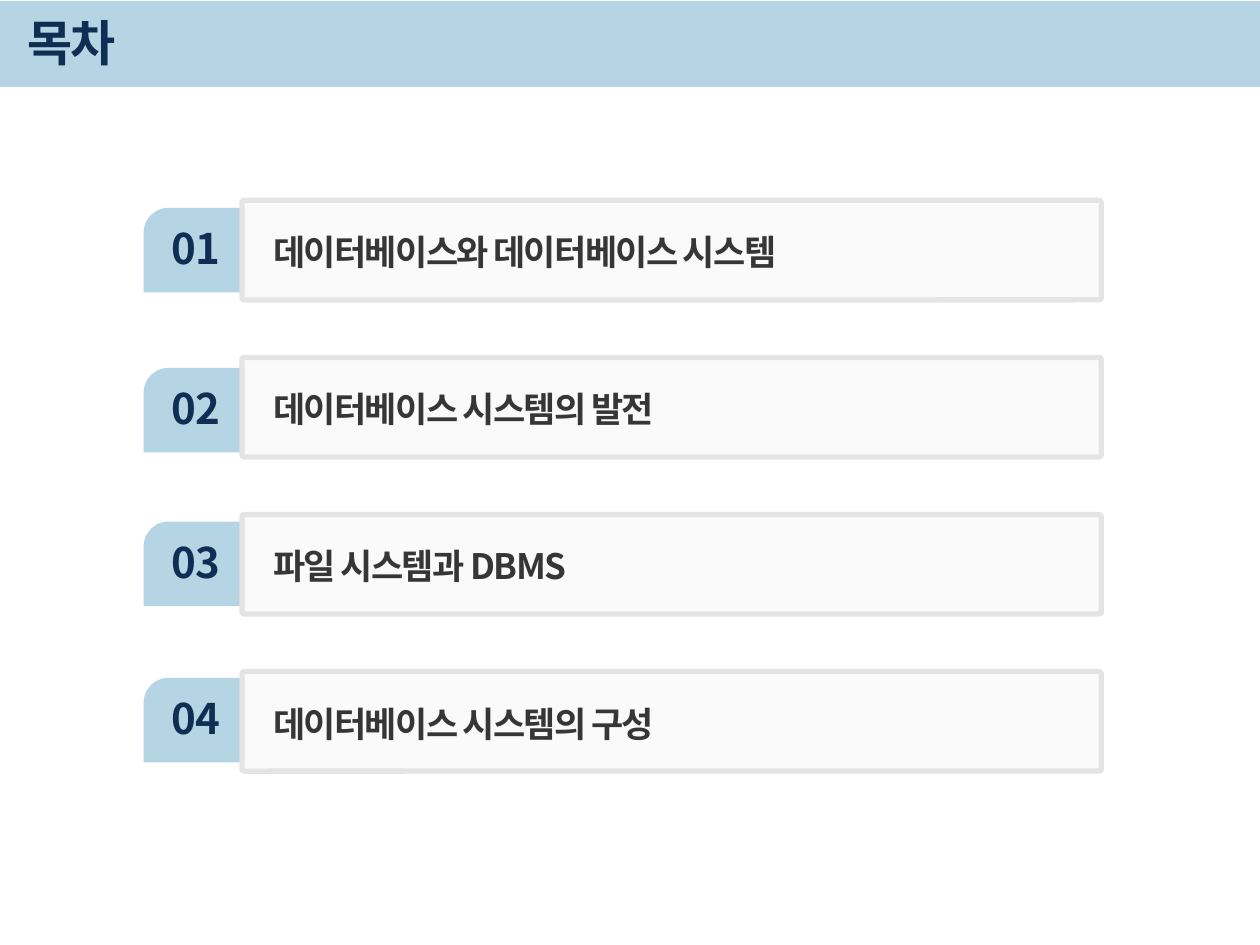
"""Build the table-of-contents slide of a database course."""
from lxml.etree import SubElement
from pptx import Presentation
from pptx.dml.color import RGBColor
from pptx.enum.shapes import MSO_SHAPE
from pptx.enum.text import MSO_ANCHOR, MSO_AUTO_SIZE, PP_ALIGN
from pptx.oxml.ns import qn
from pptx.util import Inches, Pt

TITLE = "목차"
CHAPTERS = [
    ("01", "데이터베이스와 데이터베이스 시스템", 1.65),
    ("02", "데이터베이스 시스템의 발전", 2.92),
    ("03", "파일 시스템과 DBMS", 4.14),
    ("04", "데이터베이스 시스템의 구성", 5.38),
]
FONT = "Noto Sans CJK KR"
COLORS = {"blue": "B5D5E4", "navy": "0F2E53", "text": "363636",
          "panel": "F2F2F2", "border": "E4E4E4"}
FIRST_PANEL, LAST_PANEL = 1.59, 5.33
PANEL_STEP = (LAST_PANEL - FIRST_PANEL) / (len(CHAPTERS) - 1)


def color(name):
    return RGBColor.from_string(COLORS[name])


def add_block(slide, preset, place, fill, adjustments=()):
    block = slide.shapes.add_shape(preset, *map(Inches, place))
    block.shadow.inherit = False
    block.fill.solid()
    block.fill.fore_color.rgb = color(fill)
    block.line.fill.background()
    for index, value in enumerate(adjustments):
        block.adjustments[index] = value
    return block


def add_label(slide, place, text, size, ink, spacing=0):
    label = slide.shapes.add_textbox(*map(Inches, place))
    frame = label.text_frame
    frame.text = text
    frame.word_wrap = True
    run = frame.paragraphs[0].runs[0]
    run.font.name = FONT
    run.font.size = Pt(size)
    run.font.bold = True
    run.font.color.rgb = color(ink)
    properties = run.font._element
    SubElement(properties, qn("a:ea")).set("typeface", FONT)
    if spacing:
        properties.set("spc", str(spacing * 100))
    return frame


def add_panel(slide, top):
    panel = add_block(slide, MSO_SHAPE.ROUNDED_RECTANGLE,
                      (1.92, top, 6.82, 0.79), "panel", [0.023])
    panel.line.color.rgb = color("border")
    panel.line.width = Pt(3)
    fill_color = panel._element.spPr.find(qn("a:solidFill"))[0]
    SubElement(fill_color, qn("a:alpha")).set("val", "33000")


def add_chapter(slide, number, name, tab_top, panel_top):
    add_block(slide, MSO_SHAPE.SNIP_ROUND_RECTANGLE,
              (1.14, tab_top, 0.8, 0.67), "blue", [0.296, 0])
    number_frame = add_label(slide, (1.26, tab_top + 0.07, 0.59, 0.5),
                             number, 24, "navy")
    number_frame.word_wrap = False
    number_frame.auto_size = MSO_AUTO_SIZE.SHAPE_TO_FIT_TEXT
    number_frame.paragraphs[0].alignment = PP_ALIGN.CENTER

    add_panel(slide, panel_top)
    name_frame = add_label(slide, (2.07, panel_top + 0.16, 5.28, 0.44),
                           name, 20, "text", -1)
    name_frame.auto_size = MSO_AUTO_SIZE.SHAPE_TO_FIT_TEXT
    paragraph = name_frame.paragraphs[0]
    paragraph.line_spacing = 1.1
    paragraph.space_before = Pt(18)
    paragraph.space_after = Pt(3)


def main():
    deck = Presentation()
    deck.slide_width, deck.slide_height = Inches(10), Inches(7.5)
    slide = deck.slides.add_slide(deck.slide_layouts[6])

    add_block(slide, MSO_SHAPE.RECTANGLE, (0, 0.01, 10, 0.68), "blue")
    title_frame = add_label(slide, (0.12, 0.07, 8.51, 0.52), TITLE, 28, "navy", -1)
    title_frame.vertical_anchor = MSO_ANCHOR.MIDDLE

    for row, (number, name, tab_top) in enumerate(CHAPTERS):
        add_chapter(slide, number, name, tab_top, FIRST_PANEL + row * PANEL_STEP)

    deck.save("out.pptx")


if __name__ == "__main__":
    main()
